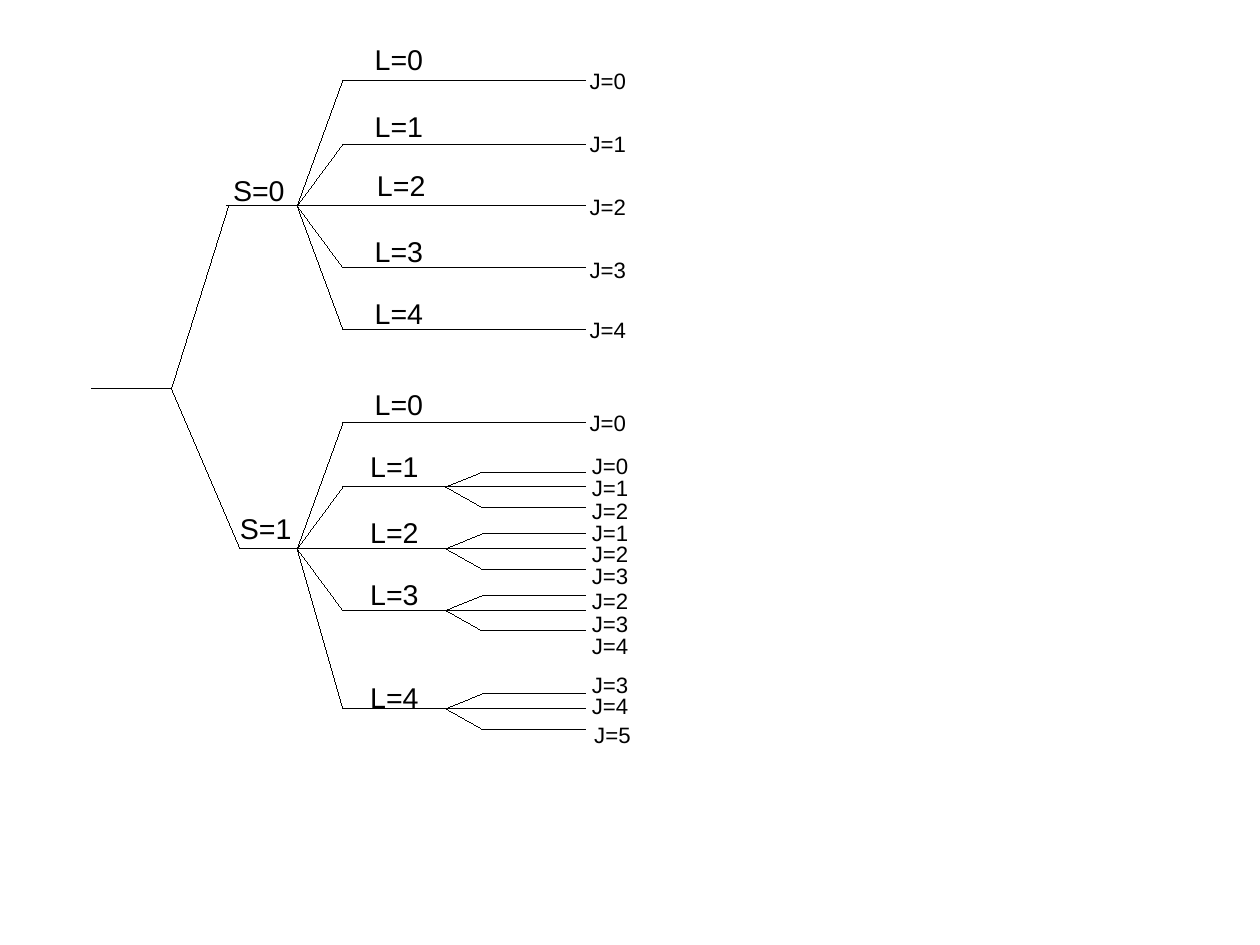
from pptx import Presentation
from pptx.dml.color import RGBColor
from pptx.enum.shapes import MSO_CONNECTOR
from pptx.enum.text import MSO_AUTO_SIZE
from pptx.oxml.ns import qn
from pptx.util import Cm, Inches, Pt
from lxml import etree

STRAIGHT = MSO_CONNECTOR.STRAIGHT
FIT_SHAPE = MSO_AUTO_SIZE.SHAPE_TO_FIT_TEXT
COLORS = {"ink": "000000"}
INK = RGBColor.from_string(COLORS["ink"])

# Columns of the tree, in inches
ROOT_X, SPLIT_X, S_END, L_START, L_END, J_START, J_END = 0.8, 1.5, 2.6, 3, 3.9, 4.22, 5.12
ROOT_Y = 3.4
J_OFFSETS = (-0.13, 0, 0.18)

# Per spin: branch end x, line start x, line y, label left and top, levels.
# Per level, L counting from 0: line y, label left and top, tops of the J labels.
SPINS = [
    (2, 1.98, 1.8, 1.94, 1.46, [
        (0.7, 3.18, 0.32, [0.54]),
        (1.26, 3.18, 0.9, [1.09]),
        (1.8, 3.2, 1.42, [1.64]),
        (2.34, 3.18, 2, [2.19]),
        (2.88, 3.18, 2.54, [2.72]),
    ]),
    (2.1, 2.1, 4.8, 2, 4.42, [
        (3.7, 3.18, 3.34, [3.53]),
        (4.26, 3.14, 3.88, [3.91, 4.1, 4.3]),
        (4.8, 3.14, 4.46, [4.49, 4.68, 4.87]),
        (5.34, 3.14, 5, [5.09, 5.29, 5.48]),
        (6.2, 3.14, 5.9, [5.82, 6.01, 6.26]),
    ]),
]

prs = Presentation()
prs.slide_width, prs.slide_height = Cm(28), Cm(21)
s = prs.slides.add_slide(prs.slide_layouts[6])


def add_line(x1, y1, x2, y2):
    c = s.shapes.add_connector(STRAIGHT, *(Inches(v) for v in (x1, y1, x2, y2)))
    c.line.color.rgb = INK
    # Hairline: a zero width has to be written out
    spPr = c._element.spPr
    spPr.find(qn("a:ln")).set("w", "0")
    etree.SubElement(spPr, qn("a:effectLst"))


def add_label(text, x, y, w, h, size):
    tf = s.shapes.add_textbox(*(Inches(v) for v in (x, y, w, h))).text_frame
    tf.word_wrap = False
    tf.auto_size = FIT_SHAPE
    tf.text = text
    font = tf.paragraphs[0].runs[0].font
    font.name, font.size, font.color.rgb = "Arial", Pt(size), INK


# Root level
add_line(ROOT_X, ROOT_Y, SPLIT_X, ROOT_Y)

for spin, (branch_x, start_x, s_y, s_left, s_top, levels) in enumerate(SPINS):
    # Spin branch
    add_line(SPLIT_X, ROOT_Y, branch_x, s_y)
    add_line(start_x, s_y, S_END, s_y)
    add_label(f"S={spin}", s_left, s_top, 0.65, 0.38, 18)

    for l, (l_y, l_left, l_top, j_tops) in enumerate(levels):
        # Orbital branch
        add_line(S_END, s_y, L_START, l_y)
        add_line(L_START, l_y, L_END, l_y)
        add_label(f"L={l}", l_left, l_top, 0.63, 0.38, 18)

        # Total angular momentum: one straight line or a threefold split
        if len(j_tops) == 1:
            add_line(L_END, l_y, J_END, l_y)
            add_label(f"J={l}", 5.06, j_tops[0], 0.52, 0.32, 14)
            continue
        for j, (offset, j_top) in enumerate(zip(J_OFFSETS, j_tops), start=l - 1):
            add_line(L_END, l_y, J_START, l_y + offset)
            add_line(J_START, l_y + offset, J_END, l_y + offset)
            add_label(f"J={j}", 5.1 if j == 5 else 5.08, j_top, 0.52, 0.32, 14)

prs.save("out.pptx")
